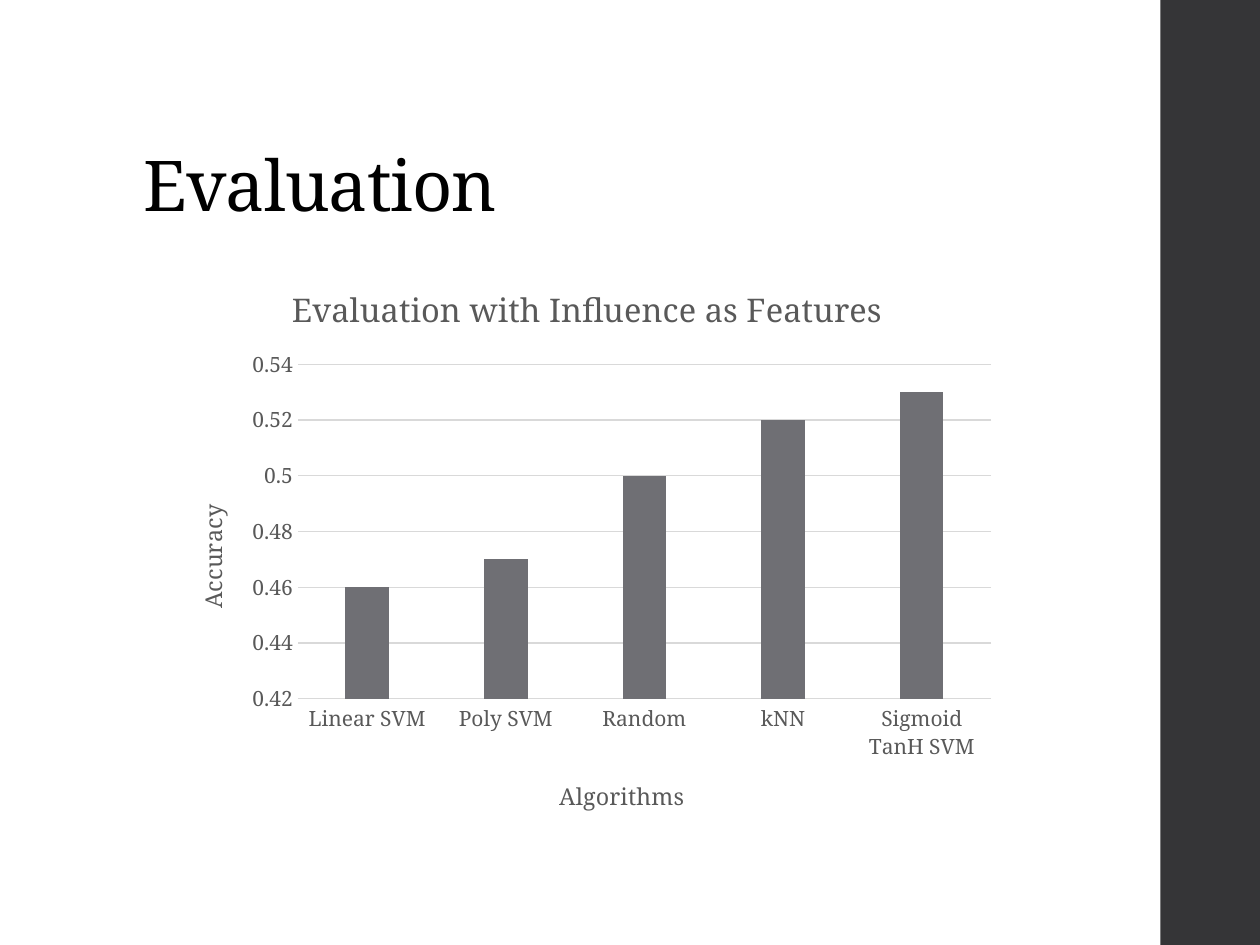
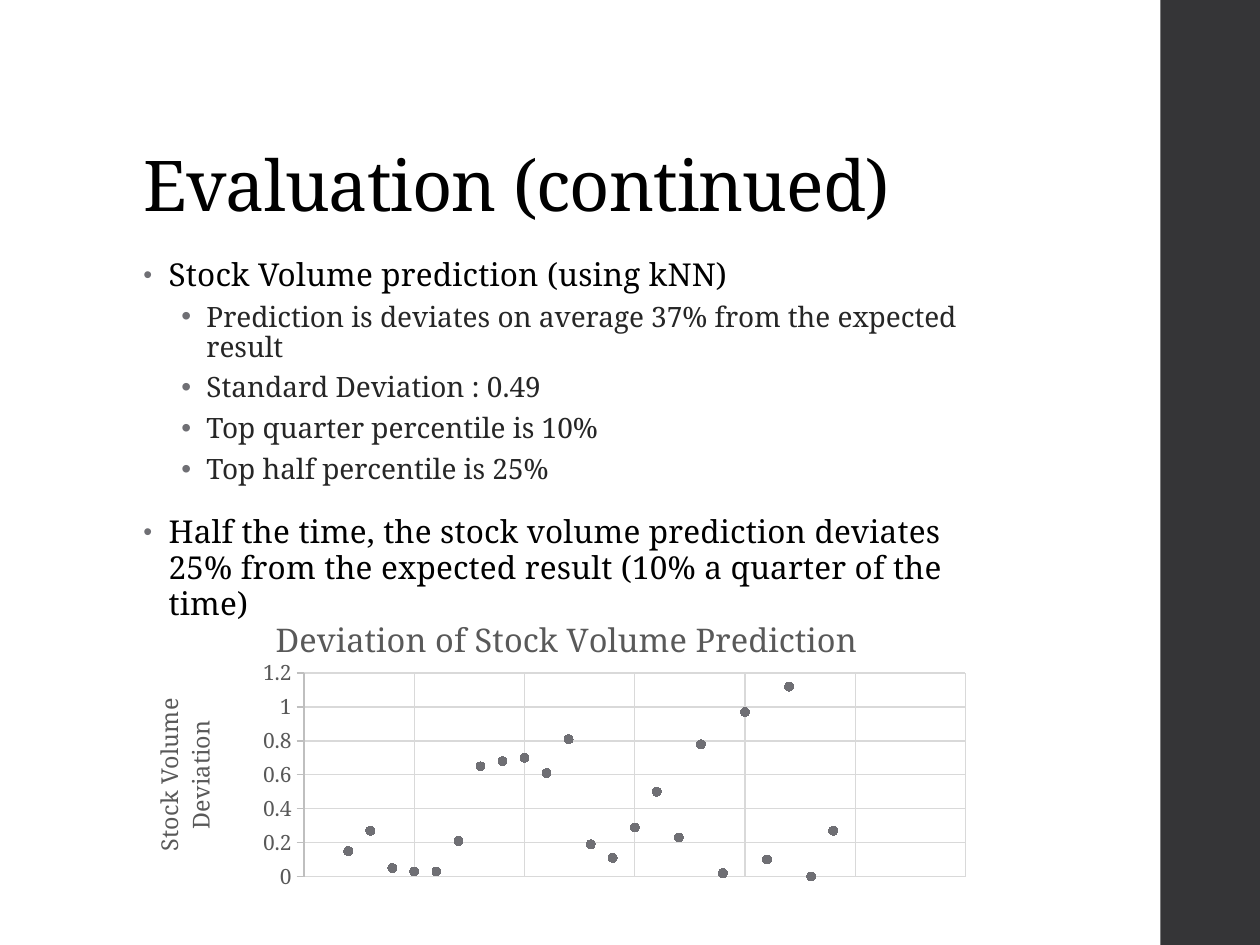
import pptx
import pptx.chart.data
import pptx.dml.color
import pptx.enum.chart
import pptx.enum.shapes
import pptx.enum.text
import pptx.oxml
import pptx.oxml.ns
import pptx.util
from pptx.util import Inches

RGBColor = pptx.dml.color.RGBColor
BLACK = RGBColor(0x00, 0x00, 0x00)
BAND = RGBColor(0x35, 0x35, 0x37)
ACCENT = RGBColor(0x6F, 0x6F, 0x74)
SUBTEXT = RGBColor(0x26, 0x26, 0x26)
CHART_TEXT = RGBColor(0x59, 0x59, 0x59)
GRID = RGBColor(0xD9, 0xD9, 0xD9)
AXIS = RGBColor(0xBF, 0xBF, 0xBF)
FONT = "Noto Serif"
LEFT = Inches(1.04)

# Paragraph formats by outline level
LEVELS = [
    dict(size=18, color=BLACK, spacing=0.1, line=0.95, before=14, after=2,
         indent=0.2, bullet_size=80),
    dict(size=16, color=SUBTEXT, spacing=0, line=0.9, before=3, after=3,
         indent=0.5, bullet_size=100),
]
FINDINGS = [
    (0, "Stock Volume prediction (using kNN)"),
    (1, "Prediction is deviates on average 37% from the expected result"),
    (1, "Standard Deviation : 0.49"),
    (1, "Top quarter percentile is 10%"),
    (1, "Top half percentile is 25%"),
    (0, "Half the time, the stock volume prediction deviates 25% from the "
        "expected result (10% a quarter of the time)"),
]
ACCURACY = {"Linear SVM": 0.46, "Poly SVM": 0.47, "Random": 0.5,
            "kNN": 0.52, "Sigmoid TanH SVM": 0.53}
DEVIATIONS = [0.15, 0.27, 0.05, 0.03, 0.03, 0.21, 0.65, 0.68, 0.7, 0.61, 0.81,
              0.19, 0.11, 0.29, 0.5, 0.23, 0.78, 0.02, 0.97, 0.1, 1.12, 0, 0.27]


def style_font(font, size, color):
    """Set the shared typeface with a size and colour."""
    font.name, font.size, font.bold = FONT, pptx.util.Pt(size), False
    font.color.rgb = color


def write(para, text, size=18, color=BLACK, spacing=0, line=1.0):
    """Fill a paragraph with one formatted span."""
    span = para.add_run()
    span.text = text
    style_font(span.font, size, color)
    span._r.get_or_add_rPr().set("spc", str(round(spacing * 100)))
    para.line_spacing = line


def add_bullet(para, indent, size):
    """Give a paragraph a hanging round bullet."""
    props = para._p.get_or_add_pPr()
    props.set("marL", str(Inches(indent)))
    props.set("indent", str(Inches(-0.2)))
    for tag, inner in (("buClr", f'<a:srgbClr val="{ACCENT}"/>'),
                       (f'buSzPct val="{size * 1000}"', ""),
                       ('buFont typeface="Arial"', ""),
                       ('buChar char="\u2022"', "")):
        props.append(pptx.oxml.parse_xml(
            f'<a:{tag} {pptx.oxml.ns.nsdecls("a")}>{inner}</a:{tag.split()[0]}>'))


def add_page(deck, title):
    """Add a title-only page with the dark band at the right."""
    page = deck.slides.add_slide(deck.slide_layouts[5])
    band = page.shapes.add_shape(pptx.enum.shapes.MSO_SHAPE.RECTANGLE,
                                 Inches(9.21), 0, Inches(0.8), Inches(7.5))
    band.shadow.inherit = False
    band.fill.solid()
    band.fill.fore_color.rgb = BAND
    band.line.fill.background()
    box = page.shapes.title
    box.left, box.top = LEFT, Inches(0.4)
    box.width, box.height = Inches(7.95), Inches(1.45)
    frame = box.text_frame
    frame.word_wrap = True
    frame.auto_size = pptx.enum.text.MSO_AUTO_SIZE.NONE
    frame.vertical_anchor = pptx.enum.text.MSO_ANCHOR.BOTTOM
    para = frame.paragraphs[0]
    para.alignment = pptx.enum.text.PP_ALIGN.LEFT
    write(para, title, size=40, spacing=-0.5, line=0.9)
    return page


def add_outline(page, items):
    """Add the bulleted text, a level and a wording per item."""
    box = page.shapes.add_textbox(LEFT, Inches(2), Inches(7.05), Inches(4.76))
    frame = box.text_frame
    frame.word_wrap = True
    for number, (level, text) in enumerate(items):
        para = frame.add_paragraph() if number else frame.paragraphs[0]
        look = LEVELS[level]
        para.level = level
        write(para, text, look["size"], look["color"], look["spacing"], look["line"])
        para.space_before = pptx.util.Pt(look["before"])
        para.space_after = pptx.util.Pt(look["after"])
        add_bullet(para, look["indent"], look["bullet_size"])


def place(element, position, x, y, size=None):
    """Set a manual layout, in fractions of the chart, at a child position."""
    for old in element.findall(pptx.oxml.ns.qn("c:layout")):
        element.remove(old)
    values = [("xMode", "edge"), ("yMode", "edge"), ("x", x), ("y", y)]
    if size:
        values.insert(0, ("layoutTarget", "inner"))
        values += [("w", size[0]), ("h", size[1])]
    inner = "".join(f'<c:{tag} val="{value}"/>' for tag, value in values)
    element.insert(position, pptx.oxml.parse_xml(
        f'<c:layout {pptx.oxml.ns.nsdecls("c")}><c:manualLayout>{inner}'
        '</c:manualLayout></c:layout>'))


def set_title(title, text, size, x, y, upright=False):
    """Write and place a chart title or axis title."""
    frame = title.text_frame
    write(frame.paragraphs[0], text, size, CHART_TEXT)
    if upright:
        frame._txBody.bodyPr.set("rot", "-5400000")
        frame._txBody.bodyPr.set("vert", "horz")
    place(title._element, 1, x, y)


def draw_line(line, color):
    """Give a chart line its colour and the shared width."""
    line.color.rgb = color
    line.width = pptx.util.Pt(0.75)


def style_axis(axis, low, high, step):
    """Set the range, grid and label font of a value axis."""
    axis.minimum_scale, axis.maximum_scale, axis.major_unit = low, high, step
    axis.has_major_gridlines = True
    draw_line(axis.major_gridlines.format.line, GRID)
    style_font(axis.tick_labels.font, 12, CHART_TEXT)


def add_chart(page, kind, data, area, plot_area):
    """Add a chart without legend and with a fixed plot area."""
    chart = page.shapes.add_chart(kind, *map(Inches, area), data).chart
    style_font(chart.font, 10, BLACK)
    chart.has_legend = False
    place(chart._chartSpace.chart.plotArea, 0, *plot_area[:2], size=plot_area[2:])
    chart.plots[0].vary_by_categories = False
    return chart


def add_accuracy_chart(page):
    """Add the columns that compare the algorithms."""
    data = pptx.chart.data.CategoryChartData()
    data.categories = list(ACCURACY)
    data.add_series("Series 1", ACCURACY.values())
    chart = add_chart(page, pptx.enum.chart.XL_CHART_TYPE.COLUMN_CLUSTERED, data,
                      (1.33, 2.08, 6.67, 4.58), (0.155, 0.177, 0.825, 0.58))
    set_title(chart.chart_title, "Evaluation with Influence as Features", 18.6, 0.141, 0.026)
    plot = chart.plots[0]
    plot.gap_width, plot.overlap = 219, -27
    fill = plot.series[0].format.fill
    fill.solid()
    fill.fore_color.rgb = ACCENT
    no_tick = pptx.enum.chart.XL_TICK_MARK.NONE
    names, values = chart.category_axis, chart.value_axis
    names.major_tick_mark = values.major_tick_mark = no_tick
    style_font(names.tick_labels.font, 12, CHART_TEXT)
    draw_line(names.format.line, GRID)
    set_title(names.axis_title, "Algorithms", 13.3, 0.461, 0.886)
    style_axis(values, 0.42, 0.54, 0.02)
    values.format.line.fill.background()
    set_title(values.axis_title, "Accuracy", 13.3, 0.027, 0.413, upright=True)


def add_deviation_chart(page):
    """Add the scatter of prediction deviations."""
    data = pptx.chart.data.XyChartData()
    series = data.add_series("Series 1")
    for x, y in enumerate(DEVIATIONS, start=2):
        series.add_data_point(x, y)
    chart = add_chart(page, pptx.enum.chart.XL_CHART_TYPE.XY_SCATTER, data,
                      (1.16, 4.75, 6.67, 2.39), (0.188, 0.248, 0.787, 0.676))
    set_title(chart.chart_title, "Deviation of Stock Volume Prediction", 18.6, 0.147, 0.03)
    points = chart.plots[0].series[0]
    points.smooth = False
    points.format.line.fill.background()
    points.marker.style = pptx.enum.chart.XL_MARKER_STYLE.CIRCLE
    points.marker.size = 5
    points.marker.format.fill.solid()
    points.marker.format.fill.fore_color.rgb = ACCENT
    draw_line(points.marker.format.line, ACCENT)
    style_axis(chart.category_axis, 0, 30, 5)
    chart.category_axis.visible = False
    values = chart.value_axis
    style_axis(values, 0, 1.2, 0.2)
    values.major_tick_mark = pptx.enum.chart.XL_TICK_MARK.OUTSIDE
    draw_line(values.format.line, AXIS)
    set_title(values.axis_title, "Stock Volume Deviation", 13.3, 0, 0.317, upright=True)


def main():
    """Build and save the deck."""
    deck = pptx.Presentation()
    deck.slide_width, deck.slide_height = Inches(10), Inches(7.5)
    add_accuracy_chart(add_page(deck, "Evaluation"))
    page = add_page(deck, "Evaluation (continued)")
    add_outline(page, FINDINGS)
    add_deviation_chart(page)
    deck.save("out.pptx")


main()
